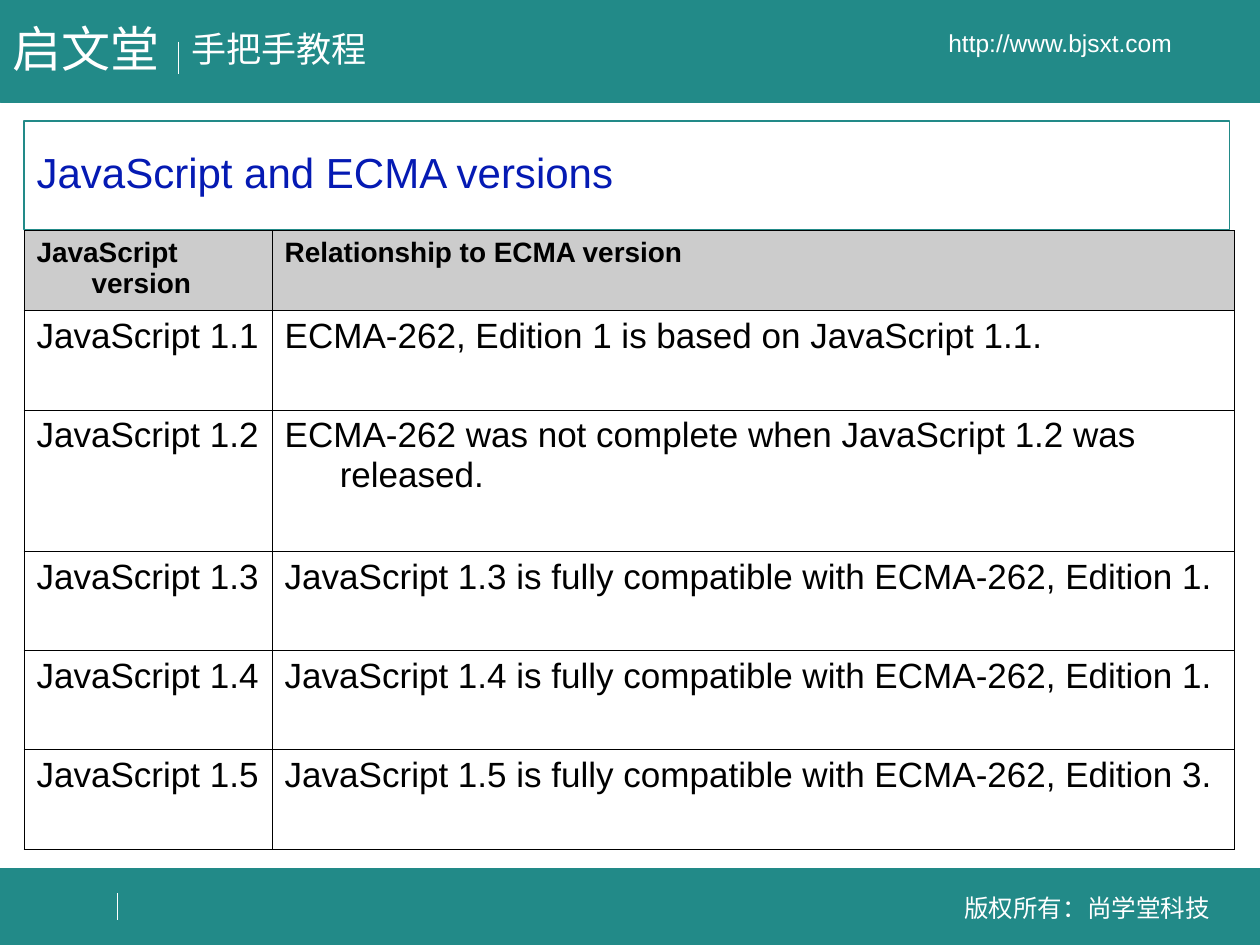
from dataclasses import dataclass

from lxml.etree import SubElement
from pptx import Presentation
from pptx.dml.color import RGBColor
from pptx.enum.shapes import MSO_CONNECTOR, MSO_SHAPE
from pptx.enum.text import MSO_ANCHOR, MSO_AUTO_SIZE, PP_ALIGN
from pptx.oxml.ns import qn
from pptx.slide import Slide
from pptx.table import _Cell
from pptx.text.text import _Paragraph
from pptx.util import Pt

TEAL = RGBColor(0x22, 0x8A, 0x88)
WHITE = RGBColor(0xFF, 0xFF, 0xFF)
BLUE = RGBColor(0x05, 0x1A, 0xB3)
BLACK = RGBColor(0, 0, 0)
GREY = RGBColor(0xCC, 0xCC, 0xCC)
FONT = "Arial"


@dataclass(frozen=True)
class Band:
    top: float
    height: float


@dataclass(frozen=True)
class Divider:
    x: float
    top: float
    bottom: float


@dataclass(frozen=True)
class Label:
    text: str
    left: float
    top: float
    width: float
    height: float
    size: float
    centered: bool = False


BANDS = [Band(496.1, 43.9), Band(0, 58.5)]
DIVIDERS = [Divider(102.2, 23.8, 42.5), Divider(67, 510.5, 525.6)]
LABELS = [
    Label("手把手教程", 102.2, 12.2, 116, 31.7, 20),
    Label("版权所有：尚学堂科技", 537.8, 506.2, 167, 24.5, 14, True),
    Label("http://www.bjsxt.com", 491.8, 12.2, 228.2, 24.5, 14, True),
    Label("启文堂", 0, 7.2, 102, 41, 28),
]

COLUMN_WIDTHS = [141.8, 550.1]
ROW_HEIGHTS = [45.7, 56.8, 80.6, 56.8, 56.8, 56.8]
ROWS = [
    ("JavaScript version", "Relationship to ECMA version"),
    ("JavaScript 1.1", "ECMA-262, Edition 1 is based on JavaScript 1.1."),
    ("JavaScript 1.2", "ECMA-262 was not complete when JavaScript 1.2 was released."),
    ("JavaScript 1.3", "JavaScript 1.3 is fully compatible with ECMA-262, Edition 1."),
    ("JavaScript 1.4", "JavaScript 1.4 is fully compatible with ECMA-262, Edition 1."),
    ("JavaScript 1.5", "JavaScript 1.5 is fully compatible with ECMA-262, Edition 3."),
]


def add_run(p: _Paragraph, text: str, size: float, color: RGBColor, bold: bool = False) -> None:
    r = p.add_run()
    r.text = text
    r.font.name = FONT
    r.font.size = Pt(size)
    r.font.bold = bold
    r.font.color.rgb = color


def add_band(s: Slide, band: Band) -> None:
    sp = s.shapes.add_shape(MSO_SHAPE.RECTANGLE, 0, Pt(band.top), Pt(720), Pt(band.height))
    sp.shadow.inherit = False
    sp.fill.solid()
    sp.fill.fore_color.rgb = TEAL
    sp.line.color.rgb = TEAL
    sp.line.width = Pt(0.25)


def add_divider(s: Slide, d: Divider) -> None:
    line = s.shapes.add_connector(MSO_CONNECTOR.STRAIGHT, Pt(d.x), Pt(d.top), Pt(d.x), Pt(d.bottom))
    line.line.color.rgb = WHITE
    line.line.width = Pt(0.75)
    SubElement(line._element.spPr, qn("a:effectLst"))


def add_label(s: Slide, label: Label) -> None:
    sp = s.shapes.add_textbox(Pt(label.left), Pt(label.top), Pt(label.width), Pt(label.height))
    tf = sp.text_frame
    tf.word_wrap = True
    tf.auto_size = MSO_AUTO_SIZE.SHAPE_TO_FIT_TEXT
    tf.vertical_anchor = MSO_ANCHOR.MIDDLE if label.centered else MSO_ANCHOR.TOP
    p = tf.paragraphs[0]
    p.alignment = PP_ALIGN.CENTER if label.centered else PP_ALIGN.LEFT
    add_run(p, label.text, label.size, WHITE)


def format_title(s: Slide) -> None:
    sp = s.shapes.title
    sp.left, sp.top, sp.width, sp.height = Pt(13.7), Pt(69.1), Pt(689), Pt(61.9)
    sp.line.color.rgb = TEAL
    sp.line.width = Pt(0.75)
    tf = sp.text_frame
    tf.word_wrap = True
    tf.auto_size = MSO_AUTO_SIZE.NONE
    tf.vertical_anchor = MSO_ANCHOR.MIDDLE
    p = tf.paragraphs[0]
    p.alignment = PP_ALIGN.LEFT
    p.line_spacing = 0.9
    add_run(p, "JavaScript and ECMA versions", 24, BLUE)


def add_borders(cell: _Cell) -> None:
    tcPr = cell._tc.get_or_add_tcPr()
    for side in ("a:lnL", "a:lnR", "a:lnT", "a:lnB"):
        ln = SubElement(tcPr, qn(side), w=str(Pt(0.45)))
        fill = SubElement(ln, qn("a:solidFill"))
        SubElement(fill, qn("a:srgbClr"), val=str(BLACK))


def fill_cell(cell: _Cell, text: str, header: bool) -> None:
    add_borders(cell)
    if header:
        cell.fill.solid()
        cell.fill.fore_color.rgb = GREY
    else:
        cell.fill.background()
    p = cell.text_frame.paragraphs[0]
    pPr = p._p.get_or_add_pPr()
    pPr.set("marL", str(Pt(31.5)))
    pPr.set("indent", str(-Pt(31.5)))
    p.space_after = Pt(4 if header else 5)
    add_run(p, text, 16 if header else 20, BLACK, header)


def add_versions_table(s: Slide) -> None:
    table = s.shapes.add_table(
        len(ROWS), len(COLUMN_WIDTHS), Pt(13.7), Pt(131.8),
        Pt(sum(COLUMN_WIDTHS)), Pt(sum(ROW_HEIGHTS)),
    ).table
    table.first_row = False
    table.horz_banding = False
    for column, width in zip(table.columns, COLUMN_WIDTHS):
        column.width = Pt(width)
    for i, (height, texts) in enumerate(zip(ROW_HEIGHTS, ROWS)):
        table.rows[i].height = Pt(height)
        for j, text in enumerate(texts):
            fill_cell(table.cell(i, j), text, i == 0)


def main() -> None:
    prs = Presentation()
    prs.slide_width, prs.slide_height = Pt(720), Pt(540)
    s = prs.slides.add_slide(prs.slide_layouts[5])
    for band in BANDS:
        add_band(s, band)
    for divider in DIVIDERS:
        add_divider(s, divider)
    for label in LABELS:
        add_label(s, label)
    format_title(s)
    add_versions_table(s)
    prs.save("out.pptx")


if __name__ == "__main__":
    main()
